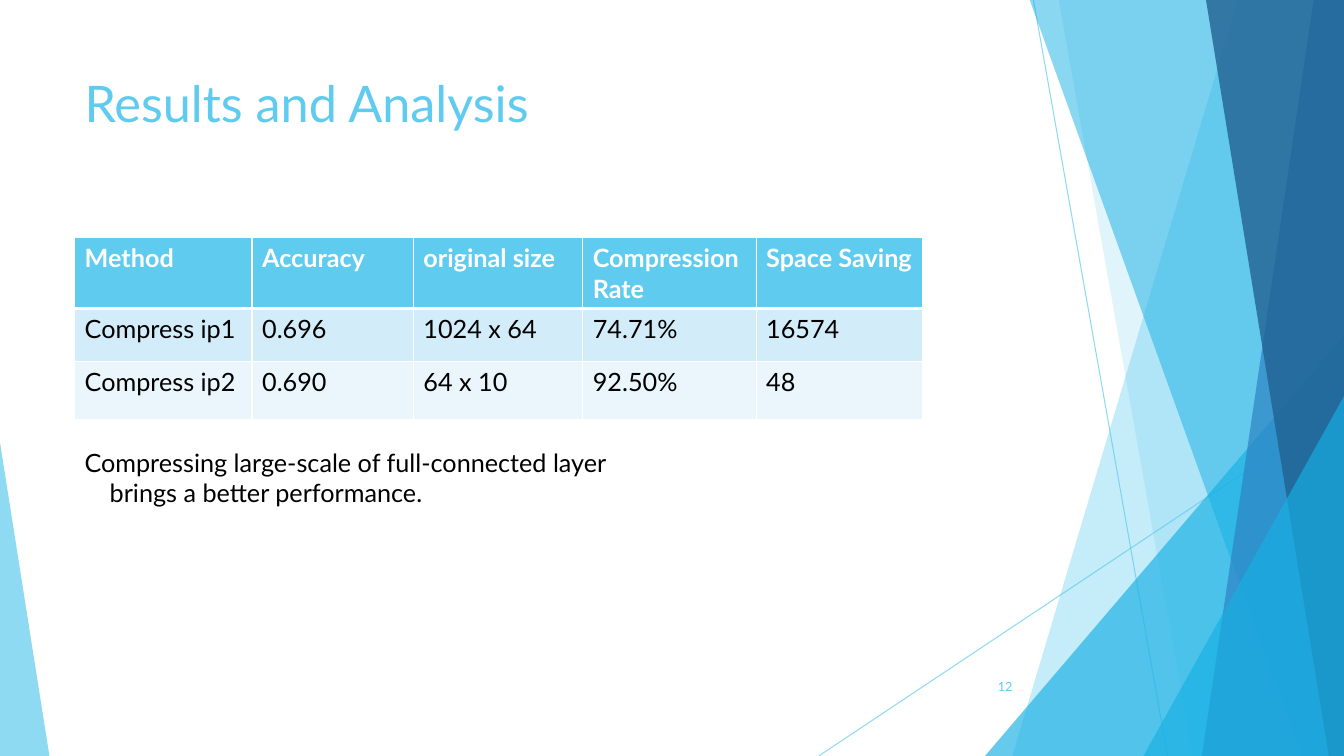
from lxml import etree
from pptx import Presentation
from pptx.dml.color import RGBColor
from pptx.enum import shapes, text
from pptx.oxml import ns
from pptx.util import Inches, Pt

SKY = RGBColor(0x5F, 0xCB, 0xEF)
CYAN = RGBColor(0x17, 0xB0, 0xE4)
BLUE = RGBColor(0x2E, 0x83, 0xC3)
NAVY = RGBColor(0x22, 0x62, 0x92)
WHITE = RGBColor(0xFF, 0xFF, 0xFF)
BLACK = RGBColor(0x00, 0x00, 0x00)
ROW_FILLS = [SKY, RGBColor(0xD2, 0xEC, 0xF9), RGBColor(0xEA, 0xF6, 0xFC)]

FONT = "Lato"
RIGHT, TOP, BOTTOM = 13.33, -0.01, 7.5
COLUMNS = [1.76, 1.6, 1.68, 1.72, 1.65]
ROWS = [0.66, 0.53, 0.57]
RESULTS = [
    ["Method", "Accuracy", "original size", "Compression Rate", "Space Saving"],
    ["Compress ip1", "0.696", "1024 x 64", "74.71%", "16574"],
    ["Compress ip2", "0.690", "64 x 10", "92.50%", "48"],
]


def set_alpha(element, percent):
    color = element.find(".//" + ns.qn("a:srgbClr"))
    etree.SubElement(color, ns.qn("a:alpha"), val=str(percent * 1000))


def paint(sp, color, alpha):
    sp.shadow.inherit = False
    sp.fill.solid()
    sp.fill.fore_color.rgb = color
    sp.line.fill.background()
    set_alpha(sp.element.spPr, alpha)


def add_line(slide, x1, y1, x2, y2):
    line = slide.shapes.add_connector(
        shapes.MSO_CONNECTOR.STRAIGHT, Inches(x1), Inches(y1), Inches(x2), Inches(y2))
    line.line.color.rgb = SKY
    line.line.width = Pt(0.75)
    set_alpha(line.element.spPr, 70)
    etree.SubElement(line.element.spPr, ns.qn("a:effectLst"))


def add_blade(slide, top_x, bottom_x, color, alpha):
    corners = [(RIGHT, TOP), (RIGHT, BOTTOM), (bottom_x, BOTTOM)]
    builder = slide.shapes.build_freeform(Inches(top_x), Inches(TOP))
    builder.add_line_segments([(Inches(x), Inches(y)) for x, y in corners])
    paint(builder.convert_to_shape(), color, alpha)


def add_triangle(slide, left, top, width, apex, color, alpha):
    sp = slide.shapes.add_shape(
        shapes.MSO_SHAPE.ISOSCELES_TRIANGLE,
        Inches(left), Inches(top), Inches(width), Inches(BOTTOM - top))
    sp.adjustments[0] = apex
    paint(sp, color, alpha)


def style(p, size, color, bold=False):
    p.font.name = FONT
    p.font.size = Pt(size)
    p.font.color.rgb = color
    p.font.bold = bold


def add_text(slide, left, top, width, height, lines, size, color):
    box = slide.shapes.add_textbox(Inches(left), Inches(top), Inches(width), Inches(height))
    tf = box.text_frame
    tf.word_wrap = True
    tf.text = "\n".join(lines)
    for p in tf.paragraphs:
        style(p, size, color)
    return tf


def set_borders(cell, top, bottom):
    tc_pr = cell._tc.get_or_add_tcPr()
    widths = {"lnL": 1, "lnR": 1, "lnT": top, "lnB": bottom}
    for i, (side, width) in enumerate(widths.items()):
        ln = etree.Element(ns.qn("a:" + side), w=str(Pt(width)))
        fill = etree.SubElement(ln, ns.qn("a:solidFill"))
        etree.SubElement(fill, ns.qn("a:srgbClr"), val=str(WHITE))
        tc_pr.insert(i, ln)


def add_results(slide, left, top):
    table = slide.shapes.add_table(
        len(ROWS), len(COLUMNS), Inches(left), Inches(top),
        Inches(sum(COLUMNS)), Inches(sum(ROWS))).table
    for column, width in zip(table.columns, COLUMNS):
        column.width = Inches(width)
    for r, height in enumerate(ROWS):
        table.rows[r].height = Inches(height)
        header = r == 0
        for c, value in enumerate(RESULTS[r]):
            cell = table.cell(r, c)
            cell.text = value
            style(cell.text_frame.paragraphs[0], 18, WHITE if header else BLACK, header)
            cell.fill.solid()
            cell.fill.fore_color.rgb = ROW_FILLS[r]
            set_borders(cell, 3 if r == 1 else 1, 3 if header else 1)


def add_backdrop(slide):
    add_line(slide, 10.25, 0, 11.58, BOTTOM)
    add_line(slide, RIGHT, 4.03, 8.12, BOTTOM)
    add_blade(slide, 12.28, 10.04, SKY, 36)
    add_blade(slide, 10.5, 11.83, SKY, 20)
    add_triangle(slide, 9.77, 3.33, 3.56, 1, CYAN, 66)
    add_blade(slide, 10.21, 12.91, CYAN, 50)
    add_blade(slide, 13.03, 11.92, BLUE, 70)
    add_blade(slide, 11.96, 13.18, NAVY, 80)
    add_triangle(slide, 11.34, 3.93, 1.99, 1, CYAN, 66)
    add_triangle(slide, 0, 4.39, 0.49, 0, SKY, 70)


def main():
    prs = Presentation()
    prs.slide_width = Inches(RIGHT)
    prs.slide_height = Inches(BOTTOM)
    slide = prs.slides.add_slide(prs.slide_layouts[6])

    add_backdrop(slide)
    add_text(slide, 0.74, 0.67, 9.4, 1.44, ["Results and Analysis"], 36, SKY)
    add_results(slide, 0.74, 2.36)

    finding = add_text(
        slide, 0.74, 4.39, 7.54, 0.71,
        ["Compressing large-scale of full-connected layer", "brings a better performance."],
        18, BLACK)
    finding.auto_size = text.MSO_AUTO_SIZE.SHAPE_TO_FIT_TEXT
    finding.paragraphs[1]._p.get_or_add_pPr().set("marL", str(Inches(0.25)))

    number = add_text(slide, 9.39, 6.61, 0.75, 0.4, ["12"], 9, SKY)
    number.vertical_anchor = text.MSO_ANCHOR.MIDDLE
    number.paragraphs[0].alignment = text.PP_ALIGN.RIGHT

    prs.save("out.pptx")


if __name__ == "__main__":
    main()
